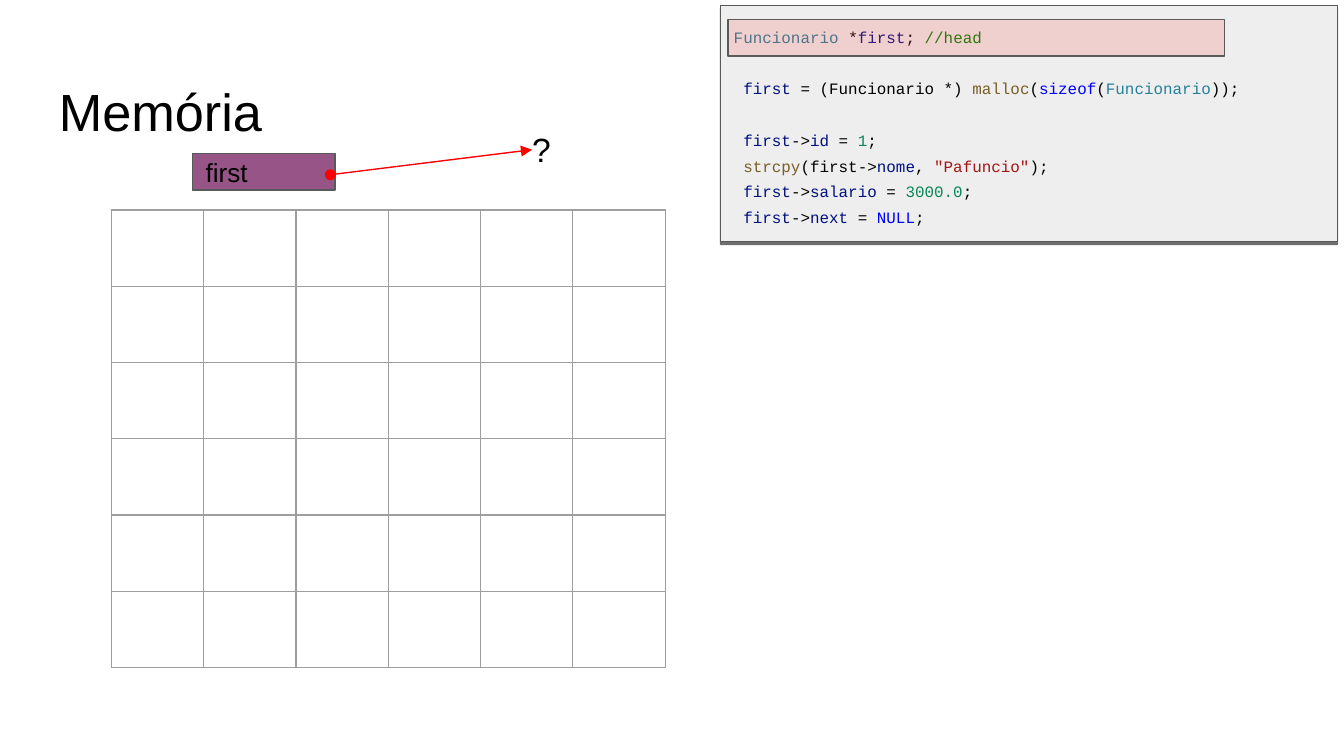
from lxml.etree import SubElement
from pptx import Presentation
from pptx.dml.color import RGBColor
from pptx.enum.shapes import MSO_CONNECTOR, MSO_SHAPE
from pptx.enum.text import MSO_ANCHOR, PP_ALIGN
from pptx.oxml.ns import qn
from pptx.util import Pt

COLORS = {
    "text": "000000", "outline": "595959", "grid": "9E9E9E", "arrow": "FF0000",
    "pointer": "6F1359", "panel": "EEEEEE", "highlight": "FC4B4B",
    "type": "267F99", "name": "001080", "comment": "008000", "call": "795E26",
    "keyword": "0000FF", "number": "098658", "string": "A31515",
}
LINE_WIDTH = 0.75
CODE_SIZE = 8.5
CODE_SPACING = 1.35
BLANK_LINE = 13.8


def rgb(name):
    return RGBColor.from_string(COLORS[name])


class PageBuilder:
    """Holds the text style and the current page."""

    def __init__(self, page, font="Arial"):
        self.page = page
        self.font = font

    def span(self, para, text, size, color="text", font=None):
        run = para.add_run()
        run.text = text
        run.font.name = font or self.font
        run.font.size = Pt(size)
        run.font.color.rgb = rgb(color)

    def frame(self, box, anchor, side=7.2, edge=7.2):
        frame = box.text_frame
        frame.word_wrap = True
        frame.vertical_anchor = anchor
        frame.margin_left = frame.margin_right = Pt(side)
        frame.margin_top = frame.margin_bottom = Pt(edge)
        return frame

    def label(self, text, left, top, width, height, size, edge=7.2):
        box = self.page.shapes.add_textbox(Pt(left), Pt(top), Pt(width), Pt(height))
        frame = self.frame(box, MSO_ANCHOR.TOP, edge=edge)
        self.span(frame.paragraphs[0], text, size)

    def rectangle(self, left, top, width, height, fill, opacity=100):
        box = self.page.shapes.add_shape(
            MSO_SHAPE.RECTANGLE, Pt(left), Pt(top), Pt(width), Pt(height))
        box.shadow.inherit = False
        box.fill.solid()
        box.fill.fore_color.rgb = rgb(fill)
        if opacity < 100:
            color = box.fill._xPr.find(qn("a:solidFill"))[0]
            SubElement(color, qn("a:alpha"), val=str(opacity * 1000))
        box.line.color.rgb = rgb("outline")
        box.line.width = Pt(LINE_WIDTH)
        return box

    def pointer(self, text, left, top, width, height):
        box = self.rectangle(left, top, width, height, "pointer", 72)
        para = self.frame(box, MSO_ANCHOR.MIDDLE).paragraphs[0]
        para.alignment = PP_ALIGN.LEFT
        self.span(para, text, 14)

    def code_panel(self, lines, left, top, width, height):
        box = self.rectangle(left, top, width, height, "panel")
        effects = box._element.spPr.find(qn("a:effectLst"))
        shadow = SubElement(effects, qn("a:outerShdw"), blurRad="0",
                            dist=str(Pt(1.5)), dir="5400000", algn="bl", rotWithShape="0")
        color = SubElement(shadow, qn("a:srgbClr"), val=COLORS["text"])
        SubElement(color, qn("a:alpha"), val="57000")

        frame = self.frame(box, MSO_ANCHOR.MIDDLE)
        for index, (gap, spans) in enumerate(lines):
            para = frame.add_paragraph() if index else frame.paragraphs[0]
            para.alignment = PP_ALIGN.LEFT
            para.line_spacing = CODE_SPACING
            if gap:
                para.space_before = Pt(gap)
            for text, color in spans:
                self.span(para, text, CODE_SIZE, color, "Courier New")

    def grid(self, rows, columns, left, top, cell_width, cell_height):
        table = self.page.shapes.add_table(
            rows, columns, Pt(left), Pt(top),
            Pt(cell_width * columns), Pt(cell_height * rows)).table
        table.first_row = table.horz_banding = False
        for column in table.columns:
            column.width = Pt(cell_width)
        for row in table.rows:
            row.height = Pt(cell_height)
        for cell in table.iter_cells():
            properties = cell._tc.get_or_add_tcPr()
            for side in ("lnL", "lnR", "lnT", "lnB"):
                border = SubElement(properties, qn(f"a:{side}"), w=str(Pt(LINE_WIDTH)))
                fill = SubElement(border, qn("a:solidFill"))
                SubElement(fill, qn("a:srgbClr"), val=COLORS["grid"])
            cell.fill.background()

    def arrow(self, start, end):
        connector = self.page.shapes.add_connector(
            MSO_CONNECTOR.STRAIGHT, *(Pt(value) for value in start + end))
        connector.line.color.rgb = rgb("arrow")
        connector.line.width = Pt(LINE_WIDTH)
        line = connector.line._get_or_add_ln()
        SubElement(line, qn("a:headEnd"), type="oval", w="med", len="med")
        SubElement(line, qn("a:tailEnd"), type="triangle", w="med", len="med")
        SubElement(connector._element.spPr, qn("a:effectLst"))


def assignment(field, value, color):
    return [(" ", "text"), ("first", "name"), ("->", "text"), (field, "name"),
            (" = ", "text"), (value, color), (";", "text")]


# Each code line: space before it, then its coloured spans
CODE = [
    (0, [("Funcionario", "type"), (" *", "text"), ("first", "name"),
         ("; ", "text"), ("//head", "comment")]),
    (BLANK_LINE, [(" ", "text"), ("first", "name"), (" = (Funcionario *) ", "text"),
                  ("malloc", "call"), ("(", "text"), ("sizeof", "keyword"),
                  ("(", "text"), ("Funcionario", "type"), ("));", "text")]),
    (BLANK_LINE, assignment("id", "1", "number")),
    (0, [(" ", "text"), ("strcpy", "call"), ("(first->", "text"), ("nome", "name"),
         (", ", "text"), ('"Pafuncio"', "string"), (");", "text")]),
    (0, assignment("salario", "3000.0", "number")),
    (0, assignment("next", "NULL", "keyword")),
]


def main():
    deck = Presentation()
    deck.slide_width, deck.slide_height = Pt(720), Pt(405)
    builder = PageBuilder(deck.slides.add_slide(deck.slide_layouts[6]))

    # Title and memory cells
    builder.label("Memória", 24.5, 35.3, 671, 45.4, 28)
    builder.grid(6, 6, 59.7, 112.5, 49.45, 40.85)

    # Pointer variable and its unknown target
    builder.pointer("first", 103, 82.2, 76.5, 19.6)
    builder.arrow((177, 93.6), (285, 80.2))

    # Code with the current line highlighted
    builder.code_panel(CODE, 386, 3, 330.5, 126.5)
    builder.rectangle(390, 10.6, 266, 19.5, "highlight", 19)
    builder.label("?", 278, 65.5, 28, 27.4, 18, edge=3.6)

    deck.save("out.pptx")


if __name__ == "__main__":
    main()
